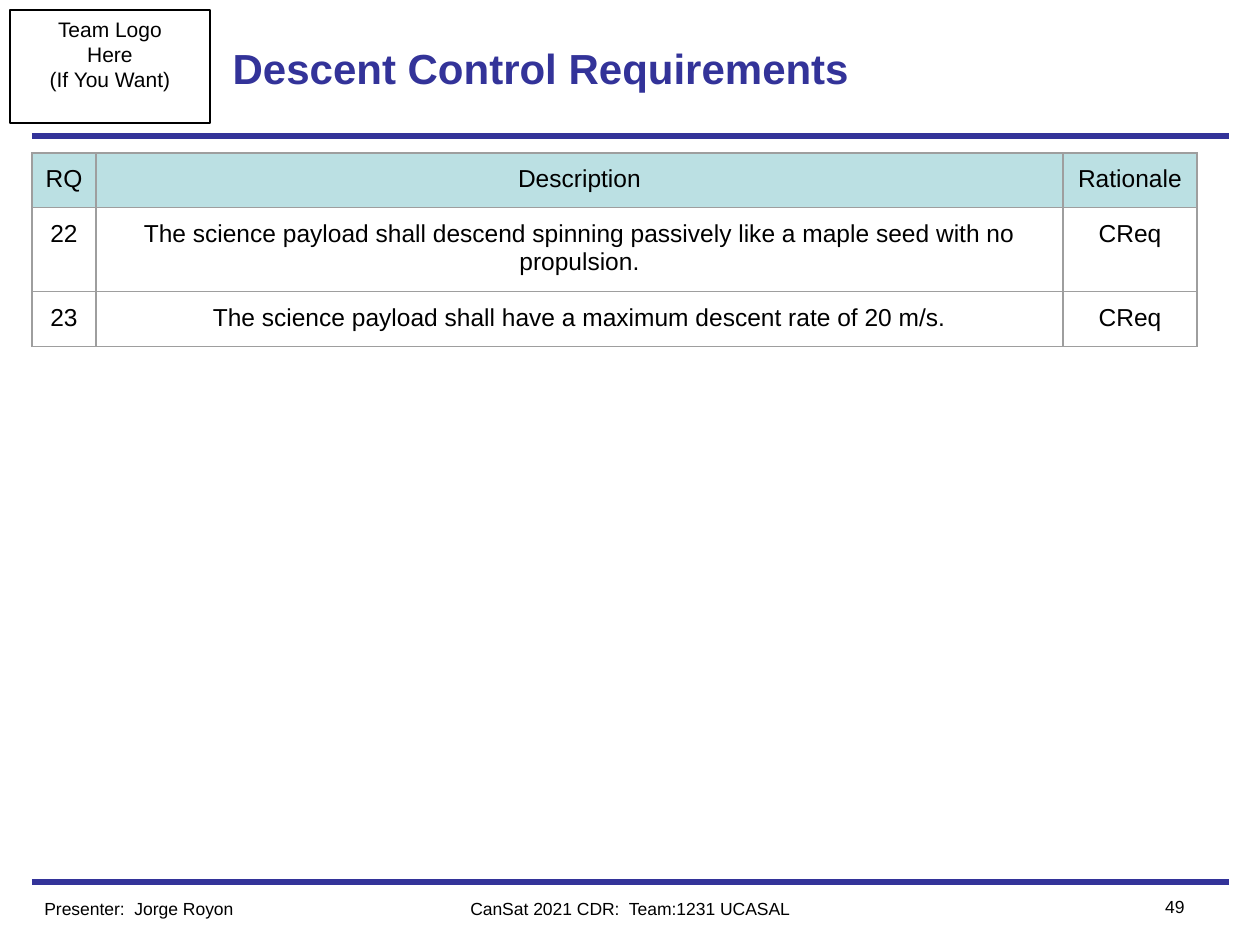
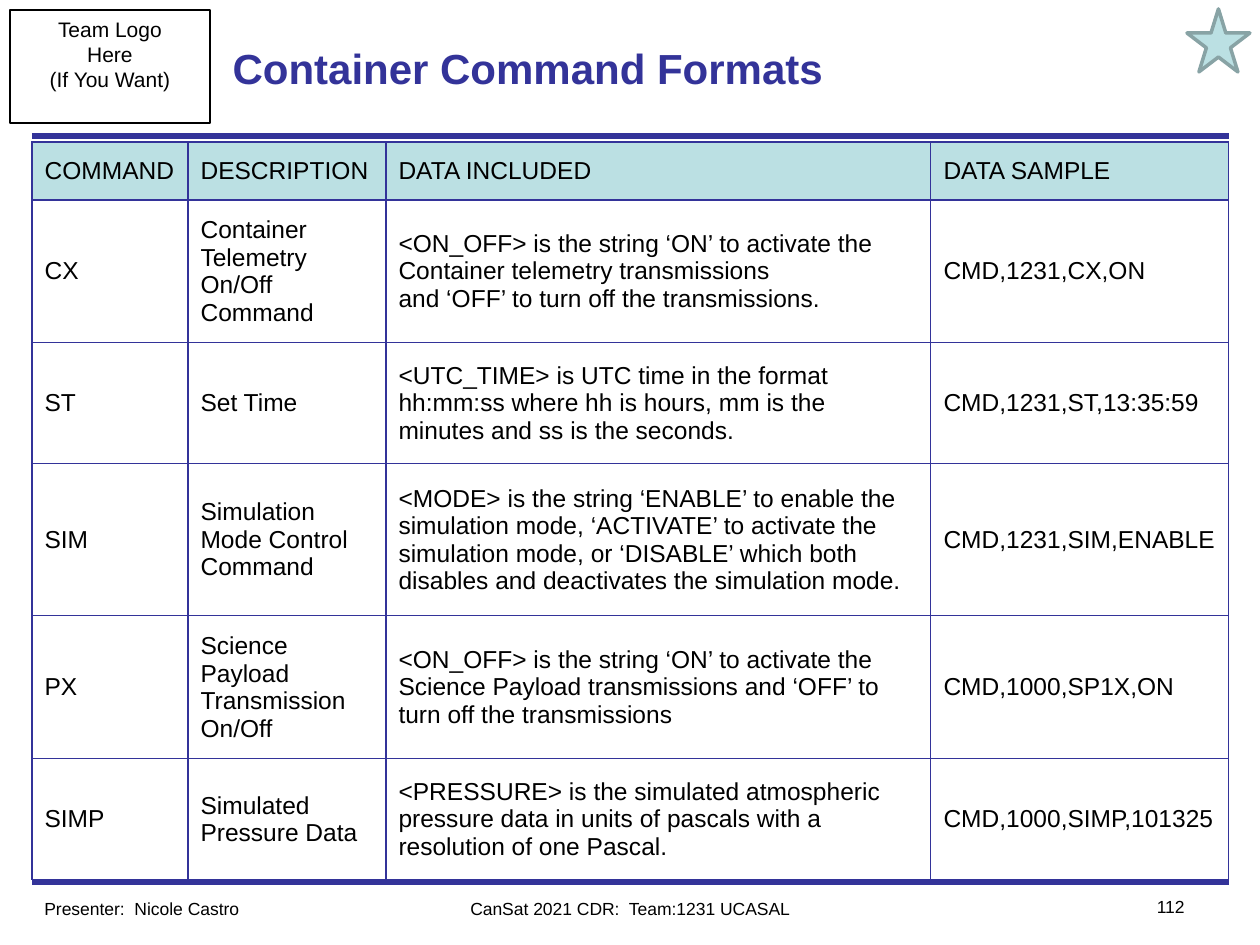
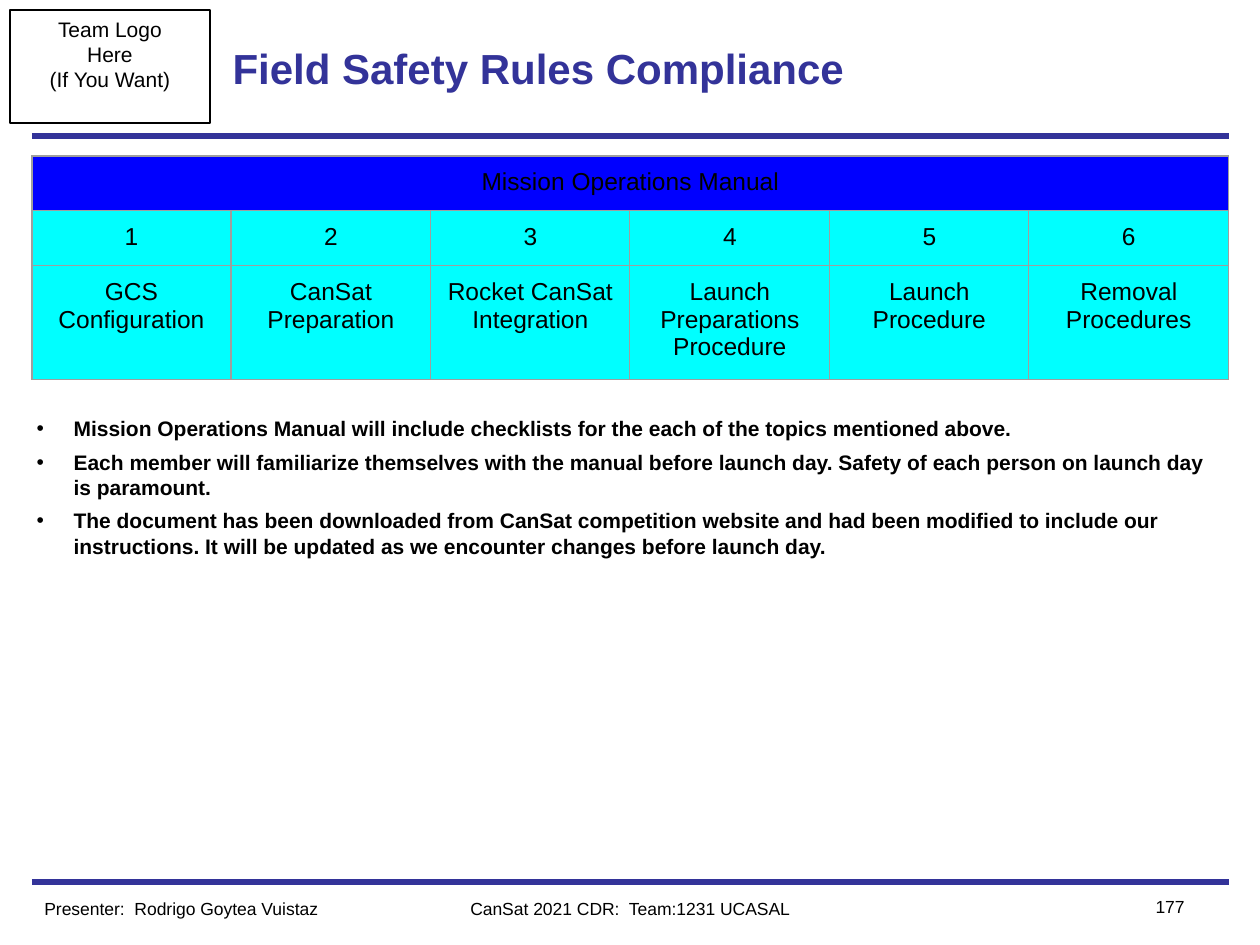
from pptx import Presentation
from pptx.dml.color import RGBColor
from pptx.enum.shapes import MSO_CONNECTOR, MSO_SHAPE
from pptx.enum.text import MSO_ANCHOR, MSO_AUTO_SIZE, PP_ALIGN
from pptx.oxml import parse_xml
from pptx.oxml.ns import nsdecls
from pptx.util import Pt

PX = 914400 // 126
COLORS = {
    "navy": "333399", "black": "000000", "pale": "BBE0E3", "star_edge": "88A3A5",
    "grey": "9E9E9E", "blue": "0000FF", "cyan": "00FFFF",
}
RGB = {name: RGBColor.from_string(value) for name, value in COLORS.items()}
LEFT, CENTER, RIGHT = PP_ALIGN.LEFT, PP_ALIGN.CENTER, PP_ALIGN.RIGHT
TOP, MIDDLE = MSO_ANCHOR.TOP, MSO_ANCHOR.MIDDLE

SLIDES = [
    {
        "title": "Descent Control Requirements",
        "presenter": "Jorge Royon",
        "number": "49",
        "top": 153,
        "cols": [64, 967, 134],
        "rows": [54, 80, 54],
        "fills": ["pale", None, None],
        "border": "grey", "align": CENTER, "anchor": TOP,
        "cells": [
            ["RQ", "Description", "Rationale"],
            ["22", "The science payload shall descend spinning passively like a maple seed with no propulsion.", "CReq"],
            ["23", "The science payload shall have a maximum descent rate of 20 m/s.", "CReq"],
        ],
    },
    {
        "title": "Container Command Formats",
        "presenter": "Nicole Castro",
        "number": "112",
        "star": True,
        "top": 142,
        "cols": [156, 198, 545, 298],
        "rows": [58, 136, 121, 152, 135, 121],
        "fills": ["pale"] + [None] * 5,
        "border": "navy", "align": LEFT, "anchor": MIDDLE,
        "cells": [
            ["COMMAND", "DESCRIPTION", "DATA INCLUDED", "DATA SAMPLE"],
            ["CX", "Container Telemetry On/Off Command",
             "<ON_OFF> is the string ‘ON’ to activate the Container telemetry transmissions\n"
             "and ‘OFF’ to turn off the transmissions.", "CMD,1231,CX,ON"],
            ["ST", "Set Time",
             "<UTC_TIME> is UTC time in the format hh:mm:ss where hh is hours, mm is the minutes "
             "and ss is the seconds.", "CMD,1231,ST,13:35:59"],
            ["SIM", "Simulation Mode Control Command",
             "<MODE> is the string ‘ENABLE’ to enable the simulation mode, ‘ACTIVATE’ to activate "
             "the simulation mode, or ‘DISABLE’ which both disables and deactivates the simulation mode.",
             "CMD,1231,SIM,ENABLE"],
            ["PX", "Science Payload Transmission On/Off",
             "<ON_OFF> is the string ‘ON’ to activate the Science Payload transmissions and ‘OFF’ "
             "to turn off the transmissions", "CMD,1000,SP1X,ON"],
            ["SIMP", "Simulated Pressure Data",
             "<PRESSURE> is the simulated atmospheric pressure data in units of pascals with a "
             "resolution of one Pascal.", "CMD,1000,SIMP,101325"],
        ],
    },
    {
        "title": "Field Safety Rules Compliance",
        "presenter": "Rodrigo Goytea Vuistaz",
        "number": "177",
        "top": 156,
        "cols": [199, 200] * 3,
        "rows": [54, 55, 113],
        "fills": ["blue", "cyan", "cyan"],
        "border": "grey", "align": CENTER, "anchor": TOP,
        "cells": [
            ["Mission Operations Manual"],
            ["1", "2", "3", "4", "5", "6"],
            ["GCS Configuration", "CanSat Preparation", "Rocket CanSat Integration",
             "Launch Preparations Procedure", "Launch Procedure", "Removal Procedures"],
        ],
        "bullets": [
            "Mission Operations Manual will include checklists for the each of the topics mentioned above.",
            "Each member will familiarize themselves with the manual before launch day. "
            "Safety of each person on launch day is paramount.",
            "The document has been downloaded from CanSat competition website and had been modified "
            "to include our instructions. It will be updated as we encounter changes before launch day.",
        ],
    },
]


def emu(*lengths):
    return [length * PX for length in lengths]


def write(tf, text, size, align=LEFT, color="black", bold=False, bullet=False):
    tf.text = text
    for i, p in enumerate(tf.paragraphs):
        p.alignment = align
        p.space_before = Pt(4.8 if bullet and i else 0)
        if bullet:
            pPr = p._p.get_or_add_pPr()
            pPr.set("marL", str(48 * PX))
            pPr.set("indent", str(-37 * PX))
            pPr.append(parse_xml(f'<a:buFont {nsdecls("a")} typeface="Arial"/>'))
            pPr.append(parse_xml(f'<a:buChar {nsdecls("a")} char="•"/>'))
        for r in p.runs:
            for key, value in {"name": "Arial", "size": Pt(size), "bold": bold}.items():
                setattr(r.font, key, value)
            r.font.color.rgb = RGB[color]


prs = Presentation()
prs.slide_width, prs.slide_height = emu(1260, 945)

for data in SLIDES:
    bullets = data.get("bullets")
    s = prs.slides.add_slide(prs.slide_layouts[1 if bullets else 5])

    for y in (882, 136):
        line = s.shapes.add_connector(MSO_CONNECTOR.STRAIGHT, *emu(32, y, 1229, y))
        line.line.color.rgb = RGB["navy"]
        line.line.width = Pt(3)
        line._element.spPr.append(parse_xml(f'<a:effectLst {nsdecls("a")}/>'))

    sp = s.shapes.add_shape(MSO_SHAPE.RECTANGLE, *emu(10, 10, 200, 113))
    sp.shadow.inherit = False
    sp.fill.background()
    sp.line.color.rgb = RGB["black"]
    sp.line.width = Pt(0.75)
    sp.text_frame.vertical_anchor = TOP
    write(sp.text_frame, "Team Logo\nHere\n(If You Want)", 12, CENTER)

    title = s.shapes.title
    title.left, title.top, title.width, title.height = emu(220, 10, 819, 116)
    title.text_frame.auto_size = MSO_AUTO_SIZE.NONE
    title.text_frame.vertical_anchor = MIDDLE
    write(title.text_frame, data["title"], 24, color="navy", bold=True)

    for x, y, w, text, align in (
        (32, 892, 315, f"Presenter:  {data['presenter']}", LEFT),
        (378, 892, 504, "CanSat 2021 CDR:  Team:1231 UCASAL", CENTER),
        (1102, 890, 95, data["number"], RIGHT),
    ):
        sp = s.shapes.add_textbox(*emu(x, y, w, 34))
        sp.text_frame.word_wrap = True
        write(sp.text_frame, text, 10, align)

    if data.get("star"):
        star = s.shapes.add_shape(MSO_SHAPE.STAR_5_POINT, *emu(1187, 9, 63, 63))
        star.shadow.inherit = False
        star.fill.solid()
        star.fill.fore_color.rgb = RGB["pale"]
        star.line.color.rgb = RGB["star_edge"]
        star.line.width = Pt(2)

    cols, rows = data["cols"], data["rows"]
    table = s.shapes.add_table(len(rows), len(cols),
                               *emu(32, data["top"], sum(cols), sum(rows))).table
    table.first_row = table.horz_banding = False
    for column, width in zip(table.columns, cols):
        column.width = width * PX
    for i, (row, height, fill, texts) in enumerate(zip(table.rows, rows, data["fills"], data["cells"])):
        row.height = height * PX
        if len(texts) == 1:
            table.cell(i, 0).merge(table.cell(i, len(cols) - 1))
        for cell in row.cells:
            tcPr = cell._tc.get_or_add_tcPr()
            for side in "LRTB":
                tcPr.append(parse_xml(
                    f'<a:ln{side} {nsdecls("a")} w="{Pt(0.75)}"><a:solidFill>'
                    f'<a:srgbClr val="{COLORS[data["border"]]}"/></a:solidFill></a:ln{side}>'))
            for side in ("left", "right", "top", "bottom"):
                setattr(cell, f"margin_{side}", Pt(7.2))
            cell.vertical_anchor = data["anchor"]
            if fill:
                cell.fill.solid()
                cell.fill.fore_color.rgb = RGB[fill]
            else:
                cell.fill.background()
        for cell, text in zip(row.cells, texts):
            write(cell.text_frame, text, 14, data["align"])

    if bullets:
        body = s.placeholders[1]
        body.left, body.top, body.width, body.height = emu(13, 403, 1216, 172)
        tf = body.text_frame
        tf.auto_size = MSO_AUTO_SIZE.NONE
        tf.margin_top = tf.margin_bottom = Pt(7.2)
        write(tf, "\n".join(bullets), 12, bold=True, bullet=True)

prs.save("out.pptx")
